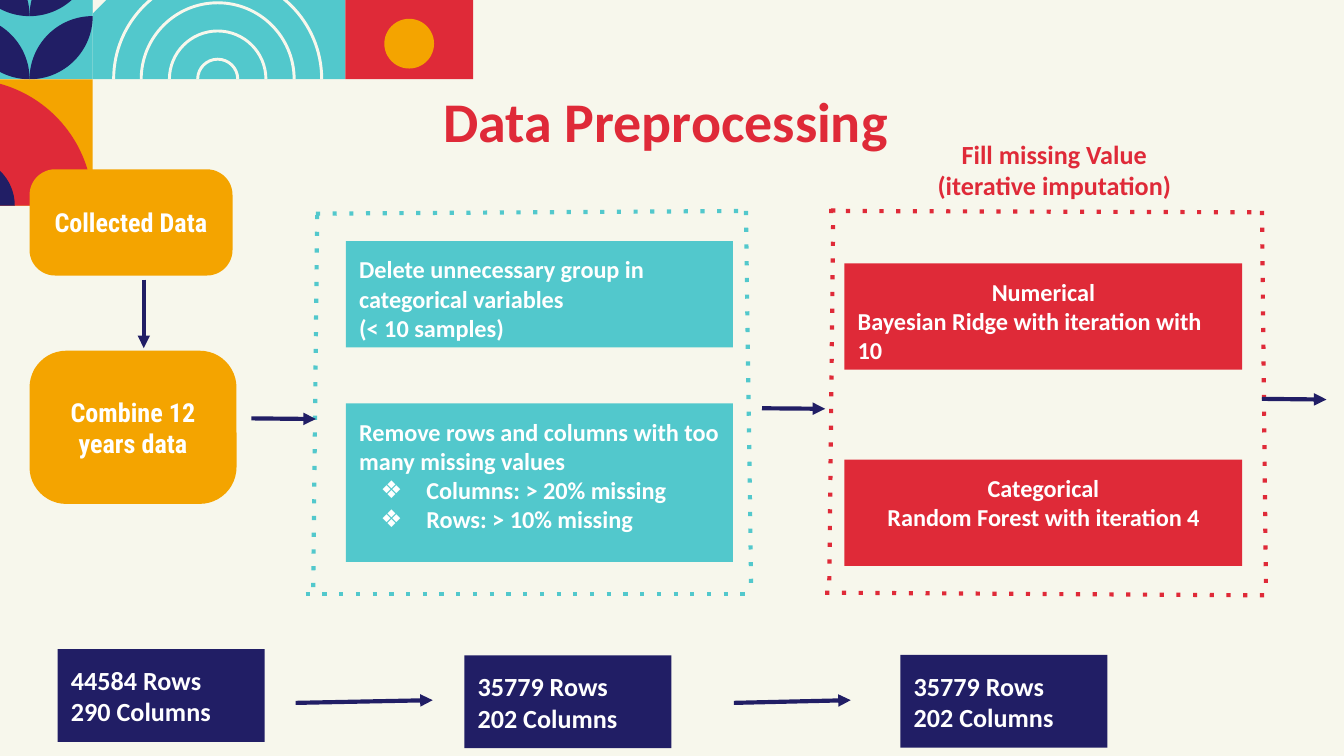
from copy import deepcopy
from math import cos, radians, sin, tan

from lxml.etree import SubElement
from pptx import Presentation
from pptx.dml.color import RGBColor
from pptx.enum.shapes import MSO_CONNECTOR, MSO_SHAPE
from pptx.enum.text import MSO_ANCHOR, MSO_AUTO_SIZE, PP_ALIGN
from pptx.oxml.ns import qn
from pptx.util import Inches, Pt

COLORS = {"cream": "F7F7EC", "teal": "52C8CC", "red": "DF2A38",
          "amber": "F4A400", "navy": "211E65", "white": "FFFFFF"}
CELL = Inches(0.1)  # the slide is a grid of 100 columns by 56.25 rows
COLUMNS, ROWS = 100, 56.25
TILE = 9.4

TITLE_FONT = {"name": "Calibri", "size": Pt(30), "bold": True}
CARD_FONT = {"name": "Calibri", "size": Pt(13), "bold": True}
LABEL_FONT = {"name": "Calibri", "size": Pt(14), "bold": True}
SOURCE_FONT = {"name": "Roboto Condensed", "size": Pt(14), "bold": True}
LEFT, CENTER = PP_ALIGN.LEFT, PP_ALIGN.CENTER


def grid(value):
    return round(value * CELL)


def rgb(color):
    return RGBColor.from_string(COLORS[color])


def paint(shape, color):
    shape.shadow.inherit = False
    shape.fill.solid()
    shape.fill.fore_color.rgb = rgb(color)
    shape.line.fill.background()


def add_block(slide, box, color, kind=MSO_SHAPE.RECTANGLE):
    shape = slide.shapes.add_shape(kind, *map(grid, box))
    paint(shape, color)
    return shape


def arc(center_x, center_y, radius, start, end):
    """Return the first point, then one curve of three points per quarter turn."""
    quarters = max(1, round(abs(end - start) / 90))
    sweep = radians(end - start) / quarters
    pull = 4 / 3 * tan(sweep / 4)

    def at(angle, tangent=0):
        return (center_x + radius * (cos(angle) - tangent * sin(angle)),
                center_y + radius * (sin(angle) + tangent * cos(angle)))

    angles = [radians(start) + sweep * index for index in range(quarters + 1)]
    return [[at(angles[0])]] + [[at(first, pull), at(last, -pull), at(last)]
                                for first, last in zip(angles, angles[1:])]


def add_outline(slide, segments, color):
    """A segment of one point is a line; a segment of three points is a curve."""
    points = [(grid(x), grid(y)) for segment in segments for x, y in segment]
    builder = slide.shapes.build_freeform(*points[0])
    builder.add_line_segments(points[1:], close=True)
    shape = builder.convert_to_shape()
    outline = next(shape._element.iter(qn("a:path")))
    steps = iter(outline.findall(qn("a:lnTo")))
    for segment in segments[1:]:
        lines = [next(steps) for _ in segment]
        if len(segment) == 3:
            curve = SubElement(outline, qn("a:cubicBezTo"))
            lines[0].addprevious(curve)
            for line in lines:
                curve.append(line[0])
                outline.remove(line)
    paint(shape, color)


def add_bullet(paragraph, size):
    properties = paragraph._p.get_or_add_pPr()
    properties.set("marL", str(Inches(0.5)))
    properties.set("indent", str(-Inches(0.34)))
    bullet_color = SubElement(properties, qn("a:buClr"))
    SubElement(bullet_color, qn("a:srgbClr"), val=COLORS["white"])
    SubElement(properties, qn("a:buSzPts"), val=str(round(size.pt * 100)))
    SubElement(properties, qn("a:buFont"), typeface="Calibri")
    SubElement(properties, qn("a:buChar"), char="❖")


def write(shape, paragraphs, font, color="white", anchor=MSO_ANCHOR.TOP):
    """Each paragraph is (text, alignment) or (text, alignment, "bullet")."""
    frame = shape.text_frame
    settings = {"word_wrap": True, "auto_size": MSO_AUTO_SIZE.NONE, "vertical_anchor": anchor}
    for side in ("left", "top", "right", "bottom"):
        settings[f"margin_{side}"] = Inches(0.1)
    for name, value in settings.items():
        setattr(frame, name, value)
    for index, (text, alignment, *bullet) in enumerate(paragraphs):
        paragraph = frame.add_paragraph() if index else frame.paragraphs[0]
        paragraph.text = text.replace("\n", "\v")
        paragraph.alignment = alignment
        if bullet:
            add_bullet(paragraph, font["size"])
        for run in paragraph.runs:
            for name, value in font.items():
                setattr(run.font, name, value)
            run.font.color.rgb = rgb(color)
        # Line breaks take the height of the text around them
        for line_break in paragraph._p.findall(qn("a:br")):
            line_break.append(deepcopy(paragraph.runs[0]._r.rPr))


def add_line(slide, start, end, color="navy", dotted=False):
    """Draw a dotted border line or an arrow."""
    connector = slide.shapes.add_connector(
        MSO_CONNECTOR.STRAIGHT, *map(grid, (*start, *end)))
    connector.line.color.rgb = rgb(color)
    connector.line.width = Pt(2.25)
    properties = connector._element.spPr
    line = properties.find(qn("a:ln"))
    if dotted:
        SubElement(line, qn("a:prstDash"), val="dot")
    else:
        SubElement(line, qn("a:tailEnd"), type="triangle")
    SubElement(properties, qn("a:effectLst"))


def add_tiles(slide, left, top):
    """Geometric corner pattern: rings, dot, petals and quarter circles."""
    columns = [left + TILE * index for index in range(4)]
    bottom, half = top + TILE, TILE / 2

    # Rings across two tiles, with a cut corner
    for x in columns[1:3]:
        add_block(slide, (x, top, TILE, TILE), "teal")
    add_outline(slide, [[(columns[1], top)], [(columns[1] + 4.5, top)],
                        [(columns[1], top + 4.5)]], "cream")
    for radius in (7.85, 5.8, 3.7, 1.6):
        add_outline(slide, arc(columns[2] - 0.1, bottom, radius, 180, 360)
                    + arc(columns[2] - 0.1, bottom, radius - 0.22, 360, 180), "cream")

    # Dot
    add_block(slide, (columns[3], top, 9.5, TILE), "red")
    add_block(slide, (columns[3] + 2.9, top + 4.9, 3.7, 3.7), "amber", MSO_SHAPE.OVAL)

    # Petals
    add_block(slide, (left, top, TILE, TILE), "teal")
    middle, right = left + half, left + TILE
    for y in (top + half, top):
        add_outline(slide, arc(middle, y, half, 0, 90)
                    + arc(right, y + half, half, 180, 270)[1:], "navy")
        add_outline(slide, arc(left, y + half, half, 270, 360)
                    + arc(middle, y, half, 90, 180)[1:], "navy")

    # Quarter circles
    add_block(slide, (left, bottom, TILE, TILE), "amber")
    corner = (left, bottom + TILE)
    for radius, color in ((TILE, "red"), (3.6, "navy")):
        add_outline(slide, [[corner]] + arc(*corner, radius, 270, 360), color)


def add_title(slide, box):
    title = slide.shapes.title
    for name, value in zip(("left", "top", "width", "height"), box):
        setattr(title, name, grid(value))
    write(title, [("Data Preprocessing ", CENTER)], TITLE_FONT, "red")


def add_sources(slide, left, top):
    """Rounded steps on the left, joined by an arrow."""
    for text, offset, width, height in (("Collected Data", 0, 15.1, 7.9),
                                        ("Combine 12 years data", 13.5, 15.4, 11.4)):
        step = add_block(slide, (left, top + offset, width, height), "amber",
                         MSO_SHAPE.ROUNDED_RECTANGLE)
        step.adjustments[0] = 0.24
        write(step, [(text, CENTER)], SOURCE_FONT, anchor=MSO_ANCHOR.MIDDLE)
    add_line(slide, (left + 8.5, top + 8.2), (left + 8.5, top + 13.3))


def add_panel(slide, left, top, color, borders, cards):
    """Dotted frame around cards; all positions are relative to left and top."""
    for (x, y, width, height), paragraphs in cards:
        card = add_block(slide, (left + x, top + y, width, height), color)
        write(card, paragraphs, CARD_FONT)
    for x1, y1, x2, y2 in borders:
        add_line(slide, (left + x1, top + y1), (left + x2, top + y2), color, dotted=True)


def add_counts(slide, box, rows, columns):
    block = add_block(slide, box, "navy")
    write(block, [(f"{rows} Rows", LEFT), (f"{columns} Columns", LEFT)],
          LABEL_FONT, anchor=MSO_ANCHOR.MIDDLE)


def main():
    presentation = Presentation()
    presentation.slide_width, presentation.slide_height = grid(COLUMNS), grid(ROWS)
    slide = presentation.slides.add_slide(presentation.slide_layouts[5])
    slide.background.fill.solid()
    slide.background.fill.fore_color.rgb = rgb("cream")

    add_tiles(slide, -2.5, -3.5)
    add_title(slide, (7.9, 5.4, 84.2, 6.3))
    add_sources(slide, 2.2, 12.6)

    # Cleaning and imputation panels
    add_panel(slide, 22.7, 15.7, "teal",
              [(0.8, 0.2, 32.8, 0), (0.9, 0.3, 0.6, 28.6),
               (32.8, 0, 33.2, 28.6), (0.05, 28.5, 33.5, 28.5)],
              [((3.04, 2.25, 28.8, 7.9),
                [("Delete unnecessary group in categorical variables \n(< 10 samples)", LEFT)]),
               ((3.04, 14.32, 28.8, 11.8),
                [("Remove rows and columns with too many missing values", LEFT),
                 ("Columns: > 20% missing", LEFT, "bullet"),
                 ("Rows: > 10% missing", LEFT, "bullet")])])
    add_panel(slide, 61.4, 15.5, "red",
              [(0.6, 0, 0.3, 28.5), (32.5, 0.2, 32.8, 28.7),
               (0.3, 0.2, 32.3, 0.3), (0, 28.6, 32.9, 28.8)],
              [((1.44, 4.1, 29.6, 7.9),
                [("Numerical", CENTER), ("Bayesian Ridge with iteration with 10", LEFT)]),
               ((1.44, 18.7, 29.6, 7.9),
                [("Categorical\nRandom Forest with iteration 4", CENTER)])])
    caption = slide.shapes.add_textbox(*map(grid, (67, 9.3, 22.9, 6.7)))
    write(caption, [("Fill missing Value\n(iterative imputation)", CENTER)], LABEL_FONT, "red")

    # Row and column counts
    for left, top, rows, columns in ((4.3, 48.3, 44584, 290), (34.55, 48.77, 35779, 202),
                                     (67, 48.73, 35779, 202)):
        add_counts(slide, (left, top, 15.4, 6.9), rows, columns)

    # Arrows between stages
    for start, end in (((18.7, 31.13), (23.5, 31.18)), ((56.7, 30.38), (61.4, 30.42)),
                       ((93.9, 29.68), (98.7, 29.73)), ((22, 52.3), (32.2, 52.1)),
                       ((54.6, 52.3), (63.3, 52.1))):
        add_line(slide, start, end)

    presentation.save("out.pptx")


if __name__ == "__main__":
    main()
